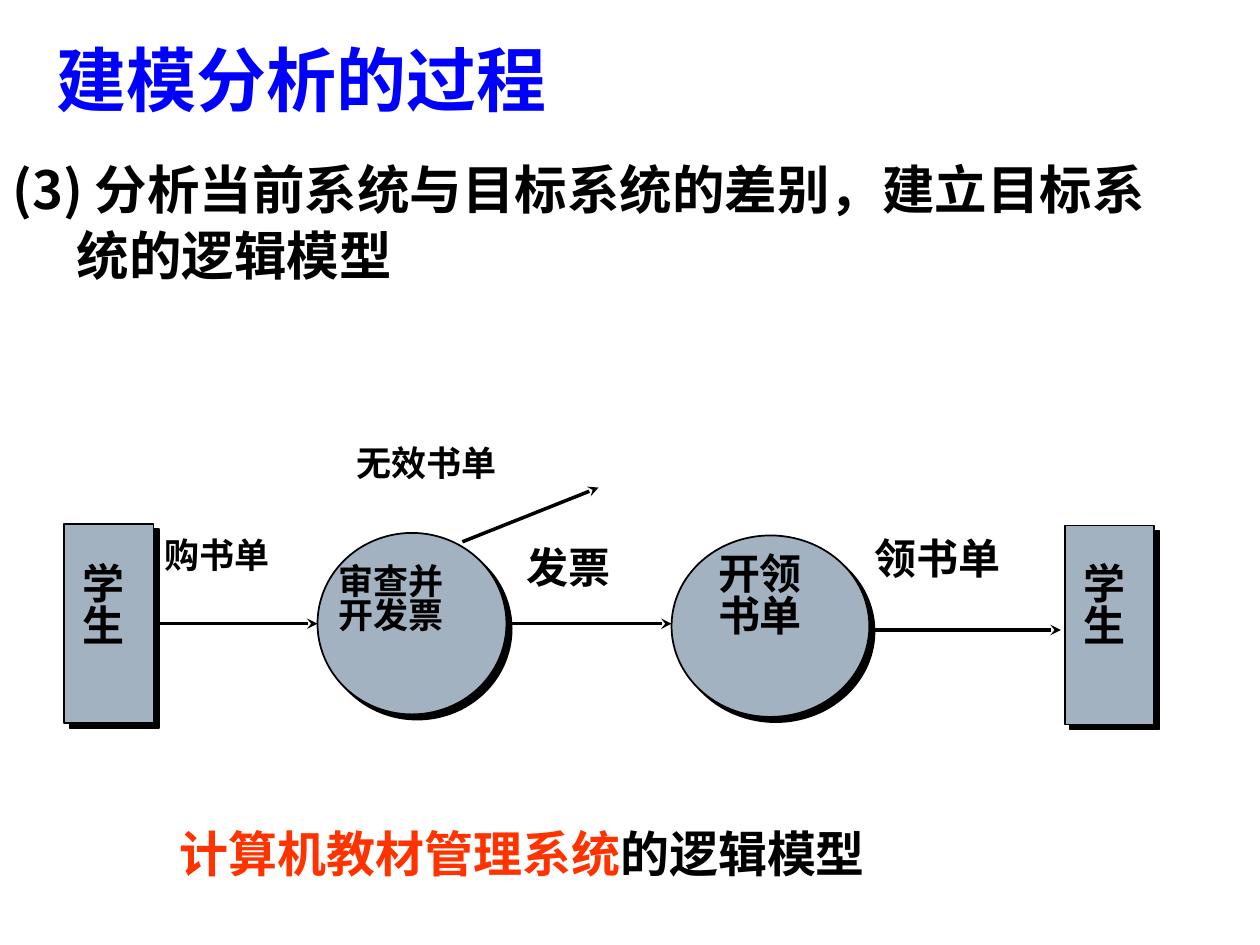
"""Build the slide on the logical model of the textbook management system."""
from dataclasses import dataclass

from lxml import etree
from pptx import Presentation
from pptx.dml.color import RGBColor
from pptx.enum.shapes import MSO_CONNECTOR, MSO_SHAPE
from pptx.enum.text import MSO_ANCHOR
from pptx.oxml.ns import qn
from pptx.util import Inches, Pt

RECT, OVAL = MSO_SHAPE.RECTANGLE, MSO_SHAPE.OVAL
STRAIGHT = MSO_CONNECTOR.STRAIGHT
MIDDLE, TOP = MSO_ANCHOR.MIDDLE, MSO_ANCHOR.TOP
RIGHT_SIDE = 3
FONT = "Noto Sans CJK SC"
BLACK, BLUE, RED, STEEL = "000000", "0000FF", "FF3300", "A3B2C1"


@dataclass
class Node:
    kind: MSO_SHAPE
    left: float
    top: float
    width: float
    height: float


@dataclass
class Label:
    lines: list[str]
    left: float
    top: float
    width: float
    height: float
    size: int


@dataclass
class Flow:
    x1: float
    y1: float
    x2: float
    y2: float


NODES = [
    Node(RECT, 0.51, 4.16, 0.71, 1.58),
    Node(OVAL, 2.52, 4.23, 1.5, 1.44),
    Node(OVAL, 5.33, 4.25, 1.57, 1.44),
    Node(RECT, 8.45, 4.17, 0.71, 1.58),
]
FLOWS = [
    Flow(1.22, 4.95, 2.52, 4.95),
    Flow(4.03, 4.95, 5.33, 4.95),
    Flow(6.92, 5, 8.42, 5),
    Flow(3.67, 4.3, 4.75, 3.87),
]
LABELS = [
    Label(["学", "生"], 0.56, 4.45, 0.66, 1.17, 24),
    Label(["购书单"], 1.21, 4.23, 1.37, 0.57, 20),
    Label(["无效书单"], 2.73, 3.5, 2.11, 0.57, 20),
    Label(["审查并", "开发票"], 2.59, 4.45, 1.67, 1.03, 20),
    Label(["发票"], 4.08, 4.3, 1.24, 0.63, 24),
    Label(["开领", "书单"], 5.6, 4.37, 1.09, 1.17, 24),
    Label(["领书单"], 6.84, 4.23, 1.6, 0.63, 24),
    Label(["学", "生"], 8.5, 4.45, 0.66, 1.17, 24),
]


def rgb(value: str) -> RGBColor:
    """Turn a hex string into a colour."""
    return RGBColor.from_string(value)


def add_text(s, label: Label, color: str = BLACK, spacing: float = 1.0, anchor=TOP):
    """Add a text box with one bold paragraph per line."""
    box = s.shapes.add_textbox(Inches(label.left), Inches(label.top),
                               Inches(label.width), Inches(label.height))
    tf = box.text_frame
    tf.word_wrap = True
    tf.vertical_anchor = anchor
    tf.text = "\n".join(label.lines)
    for p in tf.paragraphs:
        p.line_spacing = spacing
        p.font.name, p.font.size, p.font.bold = FONT, Pt(label.size), True
        p.font.color.rgb = rgb(color)
        for r in p.runs:
            set_east_asian(r)
    return tf


def set_east_asian(r) -> None:
    """Give a run its East Asian font."""
    etree.SubElement(r.font._element, qn("a:ea"), typeface=FONT)


def add_node(s, node: Node):
    """Add a filled shape with a hard black shadow."""
    sp = s.shapes.add_shape(node.kind, Inches(node.left), Inches(node.top),
                            Inches(node.width), Inches(node.height))
    sp.fill.solid()
    sp.fill.fore_color.rgb = rgb(STEEL)
    sp.line.color.rgb = rgb(BLACK)
    sp.line.width = Pt(1)
    sp.shadow.inherit = False
    effects = sp._element.spPr.find(qn("a:effectLst"))
    shadow = etree.SubElement(effects, qn("a:outerShdw"), blurRad="0", dist=str(Pt(4.2)),
                              dir="2700000", algn="ctr", rotWithShape="0")
    etree.SubElement(shadow, qn("a:srgbClr"), val=BLACK)
    return sp


def add_flow(s, flow: Flow):
    """Add an arrow along a data flow."""
    line = s.shapes.add_connector(STRAIGHT, Inches(flow.x1), Inches(flow.y1),
                                  Inches(flow.x2), Inches(flow.y2))
    line.line.color.rgb = rgb(BLACK)
    line.line.width = Pt(2)
    etree.SubElement(line.line._get_or_add_ln(), qn("a:tailEnd"), type="stealth")
    etree.SubElement(line._element.spPr, qn("a:effectLst"))
    return line


def add_headings(s) -> None:
    """Add the title, the numbered statement and the two-colour caption."""
    add_text(s, Label(["建模分析的过程"], 0.35, 0.28, 8.33, 0.69, 40), BLUE, anchor=MIDDLE)

    statement = "(3) 分析当前系统与目标系统的差别，建立目标系统的逻辑模型"
    tf = add_text(s, Label([statement], 0, 1.23, 9.67, 1.41, 30), spacing=1.04)
    tf.margin_top, tf.margin_right = 0, Inches(0.25)
    pPr = tf.paragraphs[0]._p.get_or_add_pPr()
    pPr.set("marL", str(Inches(0.51)))
    pPr.set("indent", str(-Inches(0.51)))

    tf = add_text(s, Label(["计算机教材管理系统"], 1.33, 6.55, 5.8, 0.57, 28), spacing=0.88)
    p = tf.paragraphs[0]
    p.runs[0].font.color.rgb = rgb(RED)
    r = p.add_run()
    r.text = "的逻辑模型"
    set_east_asian(r)


def main() -> None:
    """Build and save the slide."""
    prs = Presentation()
    prs.slide_width, prs.slide_height = Inches(10), Inches(7.5)
    s = prs.slides.add_slide(prs.slide_layouts[6])
    add_headings(s)
    nodes = [add_node(s, node) for node in NODES]
    flows = [add_flow(s, flow) for flow in FLOWS]
    flows[0].begin_connect(nodes[0], RIGHT_SIDE)
    for label in LABELS:
        add_text(s, label, spacing=0.88 if len(label.lines) == 1 else 0.82)
    prs.save("out.pptx")


if __name__ == "__main__":
    main()
